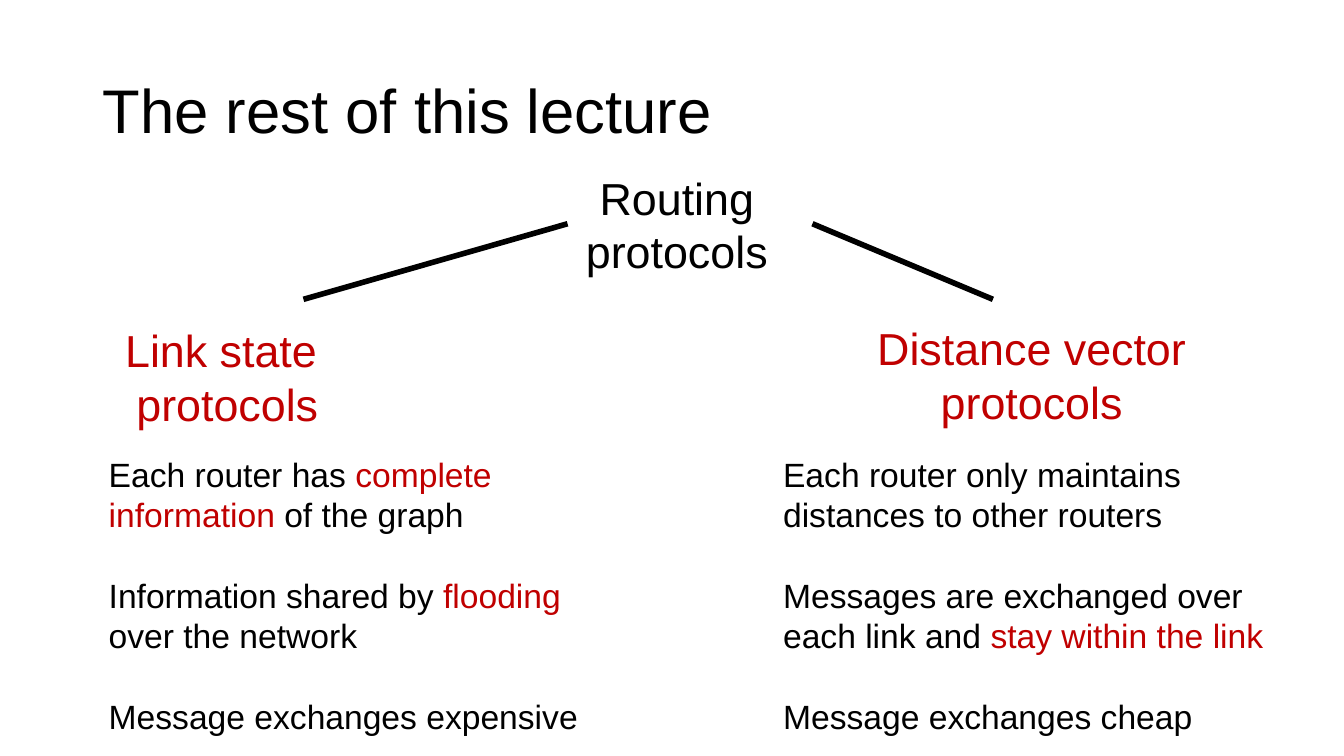
from pptx import Presentation
from pptx.dml.color import RGBColor
from pptx.enum.shapes import MSO_CONNECTOR
from pptx.enum.text import MSO_ANCHOR, MSO_AUTO_SIZE, PP_ALIGN
from pptx.oxml.xmlchemy import OxmlElement
from pptx.util import Inches, Pt

COLORS = {"ink": "000000", "accent": "C00000", "paper": "FFFFFF"}


class LectureSlide:
    font = "Arial"
    title_size, heading_size, body_size = 44, 32, 24
    leading = 1.2

    def __init__(self, deck):
        self.width, self.height = deck.slide_width, deck.slide_height
        self.slide = deck.slides.add_slide(deck.slide_layouts[5])
        fill = self.slide.background.fill
        fill.solid()
        fill.fore_color.rgb = self.color("paper")

    def color(self, name):
        return RGBColor.from_string(COLORS[name])

    def across(self, percent):
        return round(self.width * percent / 100)

    def down(self, percent):
        return round(self.height * percent / 100)

    def box(self, x, y, w, h):
        return self.across(x), self.down(y), self.across(w), self.down(h)

    def add_runs(self, paragraph, runs, size):
        for text, color in runs:
            run = paragraph.add_run()
            run.text = text
            run.font.name = self.font
            run.font.size = Pt(size)
            run.font.color.rgb = self.color(color)

    def title(self, text, area):
        title = self.slide.shapes.title
        title.left, title.top, title.width, title.height = self.box(*area)
        frame = title.text_frame
        frame.vertical_anchor = MSO_ANCHOR.MIDDLE
        paragraph = frame.paragraphs[0]
        paragraph.alignment = PP_ALIGN.LEFT
        paragraph.line_spacing = 0.9
        self.add_runs(paragraph, [(text, "ink")], self.title_size)

    def text(self, paragraphs, area, size, align, gap=0):
        frame = self.slide.shapes.add_textbox(*self.box(*area)).text_frame
        frame.word_wrap = True
        frame.auto_size = MSO_AUTO_SIZE.SHAPE_TO_FIT_TEXT
        for index, runs in enumerate(paragraphs):
            paragraph = frame.add_paragraph() if index else frame.paragraphs[0]
            paragraph.alignment = align
            paragraph.line_spacing = Pt(size * self.leading)
            paragraph.space_before = Pt(gap if index else 0)
            self.add_runs(paragraph, runs, size)

    def heading(self, lines, x, y, color):
        self.text([[(line, color)] for line in lines], (x, y, 26.33, 15.73),
                  self.heading_size, PP_ALIGN.CENTER)

    def points(self, paragraphs, x, w):
        self.text(paragraphs, (x, 59.33, w, 39.07), self.body_size,
                  PP_ALIGN.LEFT, self.body_size * self.leading)

    def branch(self, start, end):
        line = self.slide.shapes.add_connector(
            MSO_CONNECTOR.STRAIGHT, self.across(start), self.down(29.6),
            self.across(end), self.down(39.6))
        line.line.color.rgb = self.color("ink")
        line.line.width = Pt(4)
        line._element.spPr.append(OxmlElement("a:effectLst"))


def main():
    deck = Presentation()
    deck.slide_width, deck.slide_height = Inches(13.33), Inches(7.5)
    lecture = LectureSlide(deck)
    lecture.title("The rest of this lecture", (6.9, 5.33, 86.27, 19.33))
    lecture.heading(["Routing protocols"], 37.2, 21.87, "ink")
    lecture.heading(["Link state ", "protocols"], 3.75, 42, "accent")
    lecture.branch(42.23, 22.58)
    lecture.branch(60.45, 73.88)
    lecture.heading(["Distance vector protocols"], 63.6, 41.73, "accent")
    lecture.points([
        [("Each router has ", "ink"), ("complete information", "accent"),
         (" of the graph", "ink")],
        [("Information shared by ", "ink"), ("flooding", "accent"),
         (" over the network", "ink")],
        [("Message exchanges expensive", "ink")],
    ], 7.35, 37.95)
    lecture.points([
        [("Each router only maintains distances to other routers", "ink")],
        [("Messages are exchanged over each link and ", "ink"),
         ("stay within the link", "accent")],
        [("Message exchanges cheap", "ink")],
    ], 57.53, 39.07)
    deck.save("out.pptx")


if __name__ == "__main__":
    main()
